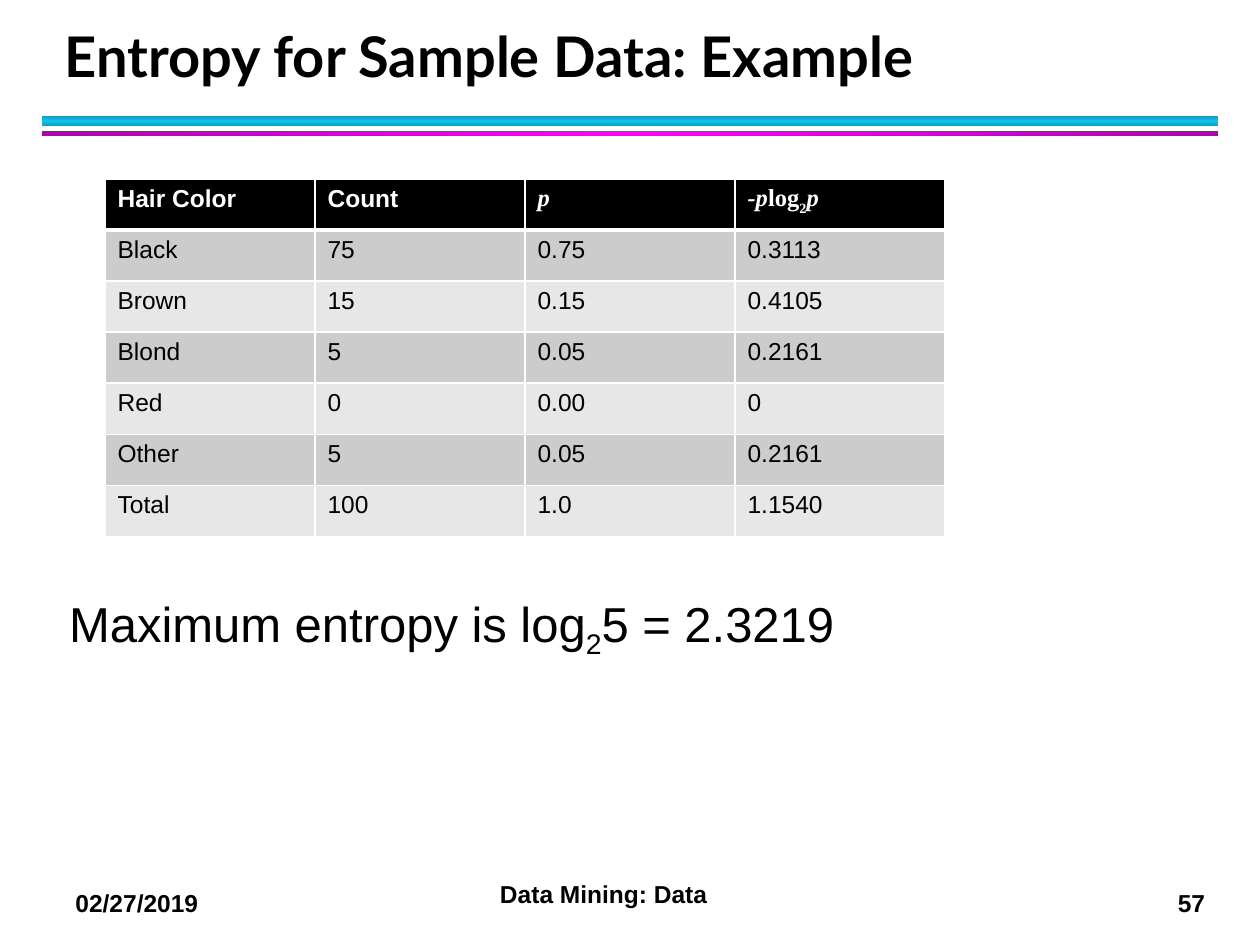
from copy import deepcopy
from pptx import Presentation
from pptx.dml.color import RGBColor as Rgb
from pptx.enum.shapes import MSO_SHAPE as Shape
from pptx.enum.text import MSO_ANCHOR as Anchor, PP_ALIGN as Align
from pptx.oxml.ns import qn
from pptx.util import Pt
from lxml.etree import SubElement

# Content; a run is (text, marks), with marks i = italic, s = subscript
TITLE = "Entropy for Sample Data: Example"
HEAD = ["Hair Color", "Count", [("p", "i")],
        [("-p", "i"), ("log", ""), ("2", "s"), ("p", "i")]]
ROWS = [
    ("Black", "75", "0.75", "0.3113"),
    ("Brown", "15", "0.15", "0.4105"),
    ("Blond", "5", "0.05", "0.2161"),
    ("Red", "0", "0.00", "0"),
    ("Other", "5", "0.05", "0.2161"),
    ("Total", "100", "1.0", "1.1540"),
]
NOTE = [("Maximum entropy is log", ""), ("2", "s"), ("5 = 2.3219", "")]
FOOT = [  # text, box, align, wrap
    ("02/27/2019", (36, 504, 96, 24.5), Align.LEFT, True),
    ("57", (666, 504, 31.7, 24.5), Align.LEFT, False),
    ("Data Mining: Data", (198, 499, 294, 24.5), Align.CENTER, True),
]
THEME = dict(
    ink="000000", paper="FFFFFF", bands=("CCCCCC", "E7E7E7"),
    cyan=("0E9BBA", "12C2E9"), pink=("B200B2", "FF00FF"),
    sans="Arial", serif="Times New Roman", title="Lato",
    big=32, mid=28, small=14,
)
RULES = [  # top, height, colours, angle
    (66.2, 6.1, THEME["cyan"], 90),
    (75, 2.7, THEME["pink"], 0),
]
GRID = dict(left=60, top=102.2, col=120, row=29.2)


def write(frame, text, size=THEME["small"], face=THEME["sans"],
          color=THEME["ink"], bold=False, align=Align.LEFT, line=None):
    para = frame.paragraphs[0]
    para.alignment = align
    if line:
        para.line_spacing = Pt(line)
    for part, marks in [(text, "")] if isinstance(text, str) else text:
        run = para.add_run()
        run.text = part
        font = run.font
        font.size, font.name, font.bold = Pt(size), face, bold
        font.italic = "i" in marks
        font.color.rgb = Rgb.from_string(color)
        if "s" in marks:
            run._r.get_or_add_rPr().set("baseline", "-25000")


def box(slide, place, text, wrap=True, anchor=Anchor.TOP, **form):
    frame = slide.shapes.add_textbox(*map(Pt, place)).text_frame
    frame.word_wrap, frame.vertical_anchor = wrap, anchor
    write(frame, text, **form)


def band(slide, top, high, tones, angle):
    bar = slide.shapes.add_shape(Shape.RECTANGLE, Pt(24), Pt(top), Pt(672), Pt(high))
    bar.shadow.inherit = False
    bar.line.fill.background()
    bar.fill.gradient()
    bar.fill.gradient_angle = angle
    # A third stop puts the bright tone in the middle
    stops = bar._element.spPr.find(qn("a:gradFill")).find(qn("a:gsLst"))
    stops.append(deepcopy(stops[-1]))
    edge, core = tones
    for stop, at, tone in zip(bar.fill.gradient_stops, (0, 0.5, 1), (edge, core, edge)):
        stop.position = at
        stop.color.rgb = Rgb.from_string(tone)


def border(cell, **sides):
    props = cell._tc.get_or_add_tcPr()
    for side, width in sides.items():
        line = SubElement(props, qn("a:ln" + side), w=str(Pt(width)))
        fill = SubElement(line, qn("a:solidFill"))
        SubElement(fill, qn("a:srgbClr"), val=THEME["paper"])


def grid(slide):
    rows = [HEAD, *ROWS]
    wide, high = GRID["col"] * len(HEAD), GRID["row"] * len(rows)
    table = slide.shapes.add_table(len(rows), len(HEAD), Pt(GRID["left"]),
                                   Pt(GRID["top"]), Pt(wide), Pt(high)).table
    table.horz_banding = False
    for col in table.columns:
        col.width = Pt(GRID["col"])
    for r, row in enumerate(rows):
        table.rows[r].height = Pt(GRID["row"])
        head = r == 0
        tone = THEME["ink"] if head else THEME["bands"][(r - 1) % 2]
        for c, text in enumerate(row):
            cell = table.cell(r, c)
            border(cell, L=1, R=1, T=3 if r == 1 else 1, B=3 if head else 1)
            cell.fill.solid()
            cell.fill.fore_color.rgb = Rgb.from_string(tone)
            write(cell.text_frame, text, bold=head,
                  face=THEME["sans"] if isinstance(text, str) else THEME["serif"],
                  color=THEME["paper"] if head else THEME["ink"])


def main():
    deck = Presentation()
    deck.slide_width, deck.slide_height = Pt(720), Pt(540)
    slide = deck.slides.add_slide(deck.slide_layouts[6])
    # Rules under the title
    for rule in RULES:
        band(slide, *rule)
    # Footer
    for text, place, align, wrap in FOOT:
        box(slide, place, text, wrap=wrap, align=align, bold=True)
    # Title, closing note and table
    box(slide, (30, 12, 652, 42), TITLE, anchor=Anchor.BOTTOM, bold=True,
        size=THEME["big"], face=THEME["title"], line=36)
    box(slide, (32.4, 335.6, 655, 40), NOTE, size=THEME["mid"])
    grid(slide)
    deck.save("out.pptx")


if __name__ == "__main__":
    main()
